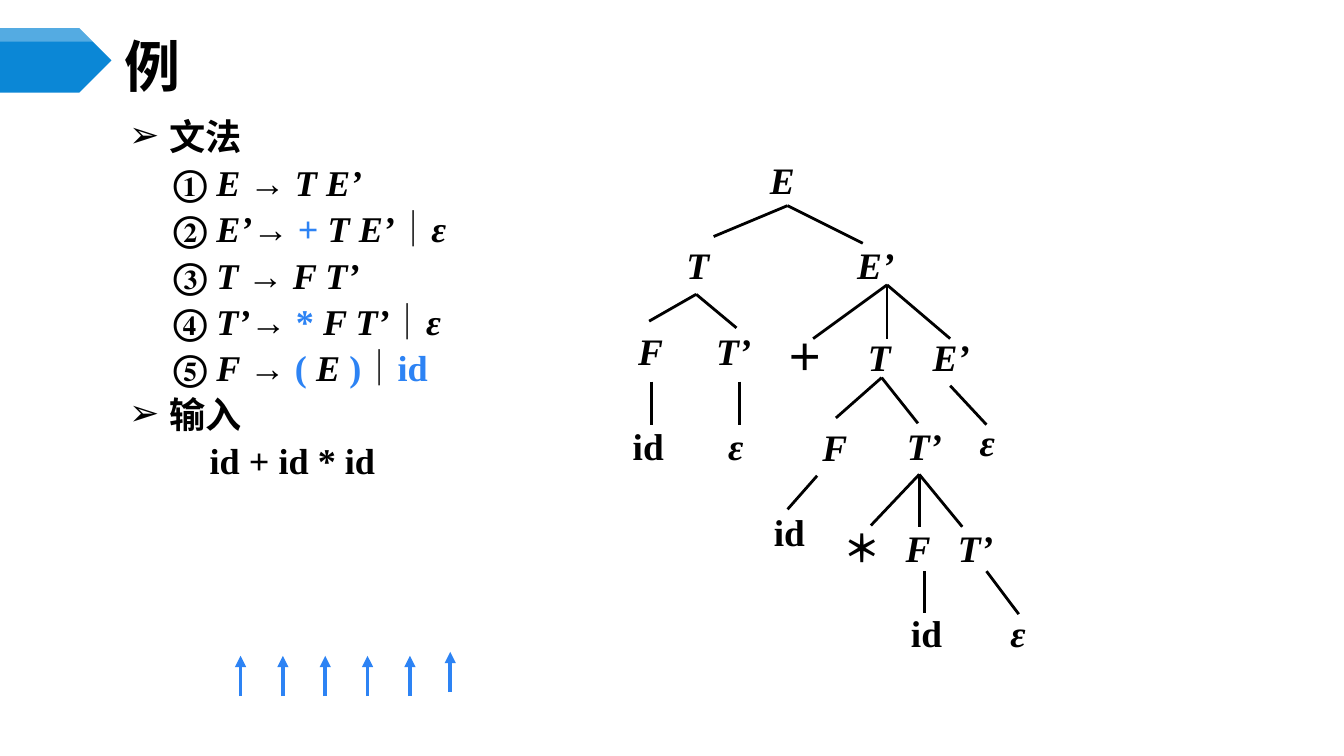
from dataclasses import dataclass

from lxml.etree import SubElement as Sub
from pptx import Presentation
from pptx.dml.color import RGBColor as Color
from pptx.enum.shapes import MSO_CONNECTOR as Link
from pptx.enum.text import MSO_ANCHOR as Anchor, MSO_AUTO_SIZE as Fit, PP_ALIGN as Align
from pptx.oxml.ns import qn
from pptx.util import Inches, Pt

BLACK, BLUE, NAVY, WHITE = "000000", "2D83F4", "0B87D6", "FFFFFF"
SERIF, SANS = "Times New Roman", "Noto Sans CJK SC"


@dataclass
class Run:
    text: str
    font: str = SERIF
    hue: str = BLACK
    italic: bool = False
    asian: str = ""


@dataclass
class Line:
    runs: list[Run]
    level: int = 1
    left: float = 0.33


@dataclass
class Node:
    text: str
    x: float
    y: float


@dataclass
class Fork:
    top: tuple[float, float]
    ends: list[tuple[float, float]]


def paint(form, hue: str) -> None:
    form.rgb = Color.from_string(hue)


def place(shape, x: float, y: float, w: float, h: float) -> None:
    box = {"left": x, "top": y, "width": w, "height": h}
    for name, value in box.items():
        setattr(shape, name, Inches(value))


def add_run(para, item: Run, size: float) -> None:
    run = para.add_run()
    run.text = item.text
    style = {"name": item.font, "size": Pt(size), "bold": True, "italic": item.italic}
    for name, value in style.items():
        setattr(run.font, name, value)
    run.font.fill.solid()
    paint(run.font.fill.fore_color, item.hue)
    Sub(run._r.get_or_add_rPr(), qn("a:ea"), typeface=item.asian or item.font)


def add_line(para, line: Line) -> None:
    style = {"level": line.level, "line_spacing": 0.8,
             "space_before": Pt(6.2), "alignment": Align.LEFT}
    for name, value in style.items():
        setattr(para, name, value)
    props = para._p.get_or_add_pPr()
    props.set("marL", str(Inches(line.left)))
    props.set("indent", str(0 if line.level else -Inches(line.left)))
    if line.level:
        Sub(props, qn("a:buNone"))
    else:
        Sub(Sub(props, qn("a:buClr")), qn("a:srgbClr"), val=BLACK)
        Sub(props, qn("a:buChar"), char="➢")
    for item in line.runs:
        add_run(para, item, 19.4)


def add_node(shapes, node: Node) -> None:
    box = shapes.add_textbox(Inches(node.x), Inches(node.y),
                             Inches(WIDTHS[node.text]), Inches(0.44))
    box.text_frame.word_wrap = False
    slant = node.text not in ("id", "＋", "＊")
    item = Run(node.text, italic=slant, asian=SANS)
    add_run(box.text_frame.paragraphs[0], item, 20)


def add_edge(shapes, start, end, hue: str = BLACK, width: float = 1.5,
             arrow: bool = False) -> None:
    edge = shapes.add_connector(Link.STRAIGHT, *map(Inches, (*start, *end)))
    edge.line.width = Pt(width)
    paint(edge.line.color, hue)
    props = edge._element.spPr
    if arrow:
        Sub(props.get_or_add_ln(), qn("a:tailEnd"), type="triangle")
    Sub(props, qn("a:effectLst"))


def add_flag(shapes, points, hue: str, alpha: int = 100) -> None:
    form = shapes.build_freeform(*map(Inches, points[0]), scale=1.0)
    form.add_line_segments([tuple(map(Inches, p)) for p in points[1:]], close=True)
    flag = form.convert_to_shape()
    flag.shadow.inherit = False
    flag.fill.solid()
    paint(flag.fill.fore_color, hue)
    flag.line.fill.background()
    if alpha < 100:
        tint = flag._element.spPr.find(".//" + qn("a:srgbClr"))
        Sub(tint, qn("a:alpha"), val=str(alpha * 1000))


def var(text: str) -> Run:
    return Run(text, italic=True)


def term(text: str) -> Run:
    return Run(text, hue=BLUE)


def head(text: str) -> Line:
    return Line([Run(text, SANS)], 0, 0.3)


ARROW, BAR = Run(" → "), Run("｜")
TIGHT = Run("→ ")
LINES = [
    head("文法"),
    Line([Run("① "), var("E"), ARROW, var("T E’")]),
    Line([Run("② "), var("E’"), TIGHT, term("+ "), var("T E’"), BAR, var("ε")]),
    Line([Run("③ "), var("T"), ARROW, var("F T’")]),
    Line([Run("④ "), var("T’"), TIGHT, term("* "), var("F T’"), BAR, var("ε")]),
    Line([Run("⑤ "), var("F"), ARROW, term("( "), var("E "), term(")"), BAR, term("id")]),
    head("输入"),
    Line([Run("id + id * id")], left=0.6),
]

WIDTHS = {"E": 0.38, "T": 0.37, "F": 0.38, "E’": 0.48, "T’": 0.46,
          "＋": 0.48, "＊": 0.48, "id": 0.43, "ε": 0.31}
NODES = [
    Node("E", 5.63, 1.12),
    Node("T", 5.01, 1.75), Node("E’", 6.28, 1.75),
    Node("F", 4.65, 2.39), Node("T’", 5.23, 2.39),
    Node("＋", 5.75, 2.44), Node("T", 6.36, 2.44), Node("E’", 6.84, 2.44),
    Node("id", 4.61, 3.1), Node("ε", 5.32, 3.1),
    Node("F", 6.02, 3.11), Node("T’", 6.65, 3.1), Node("ε", 7.19, 3.07),
    Node("id", 5.66, 3.74),
    Node("＊", 6.18, 3.86), Node("F", 6.64, 3.86), Node("T’", 7.03, 3.86),
    Node("id", 6.68, 4.49), Node("ε", 7.42, 4.49),
]
FORKS = [
    Fork((5.86, 1.53), [(5.31, 1.76), (6.42, 1.81)]),
    Fork((5.18, 2.19), [(4.83, 2.39), (5.48, 2.44)]),
    Fork((6.6, 2.12), [(6.05, 2.52), (6.6, 2.52), (7.07, 2.52)]),
    Fork((4.85, 2.84), [(4.85, 3.16)]),
    Fork((5.5, 2.84), [(5.5, 3.16)]),
    Fork((6.56, 2.81), [(6.22, 3.11), (6.83, 3.15)]),
    Fork((7.07, 2.87), [(7.34, 3.16)]),
    Fork((6.08, 3.54), [(5.86, 3.79)]),
    Fork((6.84, 3.53), [(6.48, 3.91), (6.84, 3.92), (7.16, 3.92)]),
    Fork((6.88, 4.25), [(6.88, 4.56)]),
    Fork((7.34, 4.25), [(7.58, 4.57)]),
]


def main() -> None:
    deck = Presentation()
    deck.slide_width = Inches(10)
    deck.slide_height = Inches(10 * 9 / 16)
    slide = deck.slides.add_slide(deck.slide_layouts[1])
    shapes = slide.shapes

    # Title
    title = shapes.title
    place(title, 0.83, 0.29, 8.67, 0.39)
    title.text_frame.auto_size = Fit.NONE
    title.text_frame.vertical_anchor = Anchor.MIDDLE
    para = title.text_frame.paragraphs[0]
    para.alignment = Align.LEFT
    add_run(para, Run("例", SANS), 30)

    # Grammar and input
    body = slide.placeholders[1]
    place(body, 0.86, 0.86, 6.54, 3.55)
    frame = body.text_frame
    frame.auto_size = Fit.NONE
    for i, line in enumerate(LINES):
        add_line(frame.add_paragraph() if i else frame.paragraphs[0], line)

    # Parse tree
    for node in NODES:
        add_node(shapes, node)
    for fork in FORKS:
        for end in fork.ends:
            add_edge(shapes, fork.top, end)

    # Input arrows, the last one slightly raised
    spots = [(1.79 + 0.315 * i, 5.18) for i in range(5)] + [(3.35, 5.15)]
    for x, y in spots:
        add_edge(shapes, (x, y), (x, y - 0.3), BLUE, 2, arrow=True)

    # Corner flag with a light upper band
    add_flag(shapes, [(0, 0.21), (0.59, 0.21), (0.83, 0.45), (0.59, 0.69), (0, 0.69)], NAVY)
    add_flag(shapes, [(0, 0.21), (0.59, 0.21), (0.69, 0.31), (0, 0.31)], WHITE, 30)

    deck.save("out.pptx")


if __name__ == "__main__":
    main()
